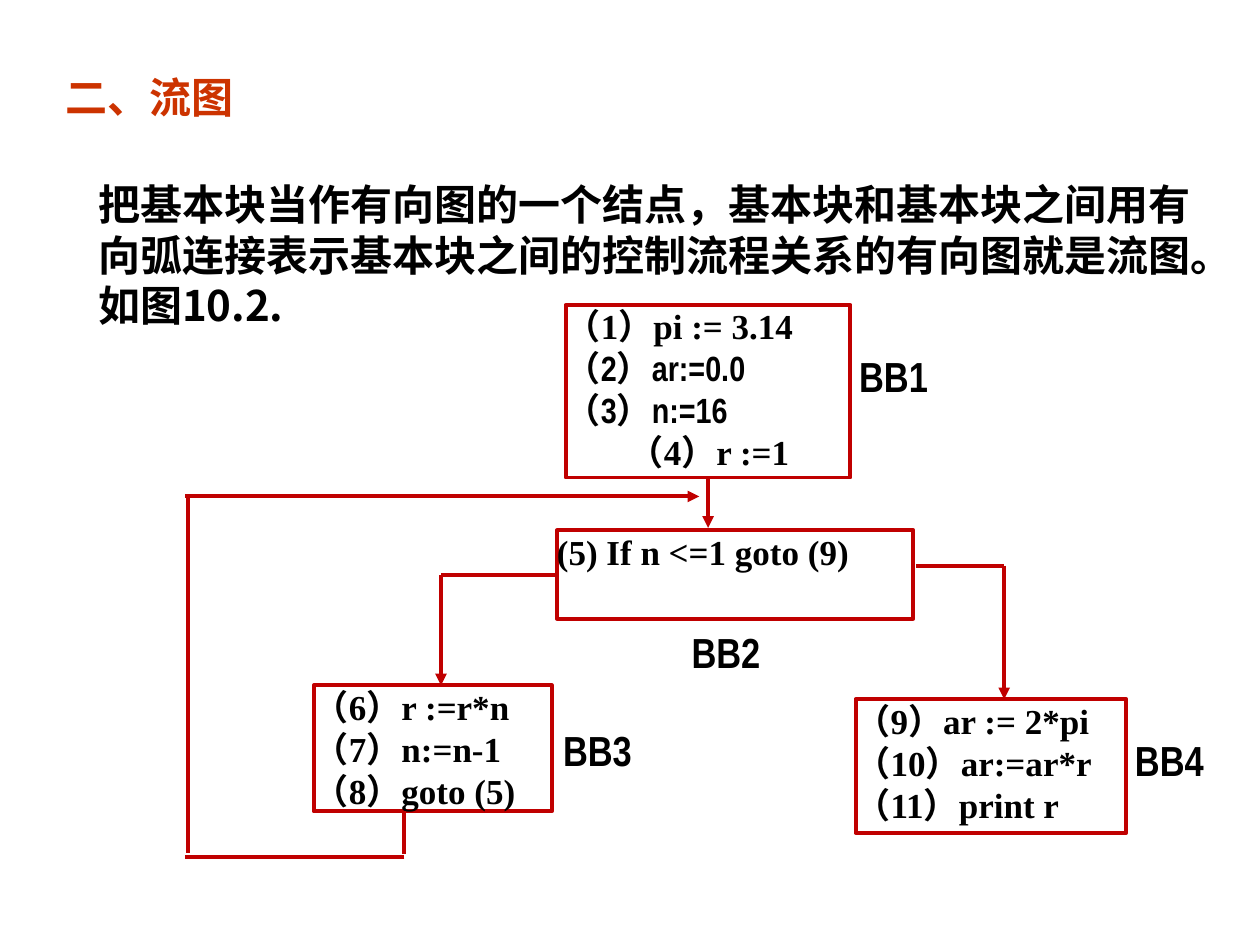
from dataclasses import dataclass
from typing import NamedTuple, Optional

from lxml import etree
from pptx import Presentation
from pptx.enum.shapes import MSO_CONNECTOR, MSO_SHAPE
from pptx.enum.text import MSO_ANCHOR, PP_ALIGN
from pptx.dml.color import RGBColor
from pptx.oxml.ns import qn
from pptx.util import Inches, Pt

RECTANGLE = MSO_SHAPE.RECTANGLE
STRAIGHT = MSO_CONNECTOR.STRAIGHT
TOP = MSO_ANCHOR.TOP
LEFT, JUSTIFY = PP_ALIGN.LEFT, PP_ALIGN.JUSTIFY
BOTTOM_SIDE, LEFT_SIDE = 2, 1

COLORS = {"heading": "CC3300", "text": "000000", "flow": "C00000"}
CJK, SERIF, NARROW = "Noto Sans CJK SC", "Times New Roman", "Arial Narrow"
FLOW_WIDTH = Pt(2.25)
LEADING = 1.2  # line pitch as a multiple of the text size

# The grid has 100 columns and 75 rows on a 10 x 7.5 inch slide
SLIDE_WIDTH, SLIDE_HEIGHT = Inches(10), Inches(7.5)
COLUMNS, ROWS = 100, 75


class Area(NamedTuple):
    col: float
    row: float
    cols: float
    rows: float


class Statement(NamedTuple):
    text: str
    font: str = SERIF
    margin: float = 0
    indent: float = 0
    align: PP_ALIGN = JUSTIFY


@dataclass
class Block:
    name: str
    area: Area
    label_area: Area
    statements: list[Statement]


@dataclass
class Edge:
    start: tuple[float, float]
    end: tuple[float, float]
    arrow: bool = False
    source: Optional[tuple[str, int]] = None  # block name, side
    target: Optional[tuple[str, int]] = None


BLOCKS = [
    Block("BB1", Area(44.9, 24.2, 22.6, 13.7), Area(67.2, 27.3, 10.2, 5), [
        Statement("（1）pi := 3.14"),
        Statement("（2）ar:=0.0", NARROW, 0.5, -0.5, LEFT),
        Statement("（3）n:=16", NARROW, 0.5, -0.5, LEFT),
        Statement("（4）r :=1", margin=0.5),
    ]),
    Block("BB2", Area(44.2, 42.1, 28.3, 7), Area(53.9, 49.2, 12.5, 5), [
        Statement("(5) If n <=1 goto (9)"),
    ]),
    Block("BB3", Area(24.9, 54.4, 18.9, 10), Area(43.7, 57, 12.5, 5), [
        Statement("（6）r :=r*n"),
        Statement("（7）n:=n-1"),
        Statement("（8）goto (5)"),
    ]),
    Block("BB4", Area(67.9, 55.5, 21.5, 10.6), Area(89.1, 57.8, 8.6, 5), [
        Statement("（9）ar := 2*pi"),
        Statement("（10）ar:=ar*r"),
        Statement("（11）print r"),
    ]),
]

EDGES = [
    # BB1 to BB2
    Edge((56.2, 37.9), (56.2, 41.9), arrow=True, source=("BB1", BOTTOM_SIDE)),
    # BB2 to BB3
    Edge((35, 45.6), (44.2, 45.6), target=("BB2", LEFT_SIDE)),
    Edge((35, 45.6), (35, 54.4), arrow=True),
    # BB2 to BB4
    Edge((72.7, 44.9), (79.7, 44.9)),
    Edge((79.7, 44.9), (79.7, 55.5), arrow=True),
    # BB3 back to the loop entry
    Edge((32.1, 64.4), (32.1, 67.8)),
    Edge((32.1, 68), (14.7, 68)),
    Edge((14.9, 39.4), (14.9, 67.7)),
    Edge((14.7, 39.4), (55.5, 39.4), arrow=True),
]


def x(col: float) -> int:
    return round(SLIDE_WIDTH * col / COLUMNS)


def y(row: float) -> int:
    return round(SLIDE_HEIGHT * row / ROWS)


def place(area: Area) -> tuple[int, int, int, int]:
    return x(area.col), y(area.row), x(area.cols), y(area.rows)


def write(paragraph, text: str, *, font: str, size: float, color: str = "text",
          align: PP_ALIGN = LEFT, margin: float = 0, indent: float = 0,
          leading: Optional[float] = None) -> None:
    paragraph.alignment = align
    if leading:
        paragraph.line_spacing = Pt(size * leading)
    if margin or indent:
        properties = paragraph._p.get_or_add_pPr()
        properties.set("marL", str(Inches(margin)))
        properties.set("indent", str(Inches(indent)))
    run = paragraph.add_run()
    run.text = text
    run.font.name, run.font.size, run.font.bold = font, Pt(size), True
    run.font.color.rgb = RGBColor.from_string(COLORS[color])
    east_asian = etree.SubElement(run._r.get_or_add_rPr(), qn("a:ea"))
    east_asian.set("typeface", CJK)


def add_text(slide, area: Area, text: str, **text_format) -> None:
    frame = slide.shapes.add_textbox(*place(area)).text_frame
    frame.word_wrap = True
    write(frame.paragraphs[0], text, **text_format)


def add_block(slide, block: Block):
    box = slide.shapes.add_shape(RECTANGLE, *place(block.area))
    box.shadow.inherit = False
    box.fill.background()
    box.line.color.rgb = RGBColor.from_string(COLORS["flow"])
    box.line.width = FLOW_WIDTH
    frame = box.text_frame
    frame.word_wrap = True
    frame.vertical_anchor = TOP
    frame.margin_left = frame.margin_right = 0
    frame.margin_top = frame.margin_bottom = 0
    for number, line in enumerate(block.statements):
        paragraph = frame.add_paragraph() if number else frame.paragraphs[0]
        write(paragraph, line.text, font=line.font, size=20, align=line.align,
              margin=line.margin, indent=line.indent, leading=LEADING)
    add_text(slide, block.label_area, block.name, font=NARROW, size=24)
    return box


def add_edge(slide, edge: Edge, boxes: dict) -> None:
    (start_col, start_row), (end_col, end_row) = edge.start, edge.end
    connector = slide.shapes.add_connector(
        STRAIGHT, x(start_col), y(start_row), x(end_col), y(end_row))
    if edge.source:
        name, side = edge.source
        connector.begin_connect(boxes[name], side)
    if edge.target:
        name, side = edge.target
        connector.end_connect(boxes[name], side)
    connector.line.color.rgb = RGBColor.from_string(COLORS["flow"])
    connector.line.width = FLOW_WIDTH
    if edge.arrow:
        head = etree.SubElement(connector.line._get_or_add_ln(), qn("a:tailEnd"))
        head.set("type", "triangle")
    etree.SubElement(connector._element.spPr, qn("a:effectLst"))


def main() -> None:
    deck = Presentation()
    deck.slide_width, deck.slide_height = SLIDE_WIDTH, SLIDE_HEIGHT
    slide = deck.slides.add_slide(deck.slide_layouts[6])

    # Heading and definition
    add_text(slide, Area(4.2, 5.2, 89.9, 5), "二、流图",
             font=CJK, size=24, color="heading", leading=LEADING)
    add_text(slide, Area(6.8, 13.7, 89.1, 13.1),
             "把基本块当作有向图的一个结点，基本块和基本块之间用有向弧连接表示"
             "基本块之间的控制流程关系的有向图就是流图。如图10.2.",
             font=CJK, size=24, leading=LEADING)

    # Flow graph
    boxes = {block.name: add_block(slide, block) for block in BLOCKS}
    for edge in EDGES:
        add_edge(slide, edge, boxes)

    deck.save("out.pptx")


if __name__ == "__main__":
    main()
